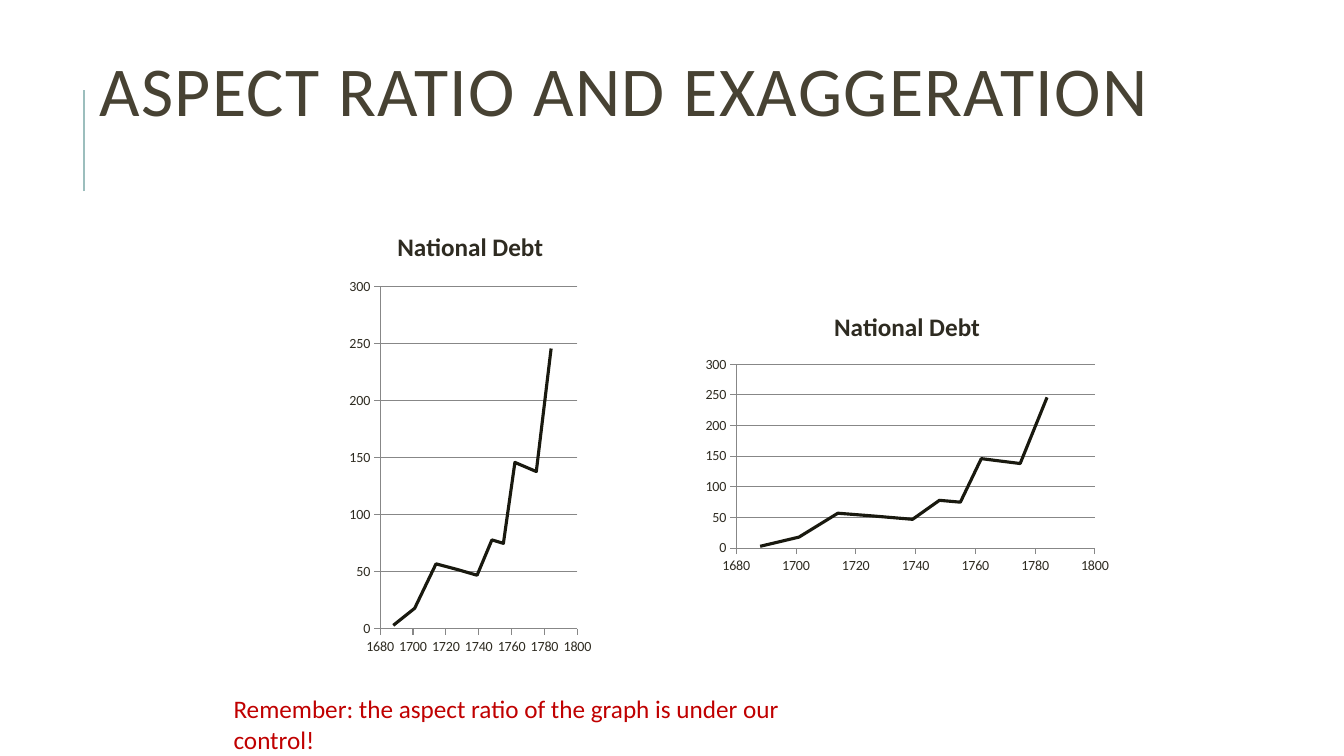
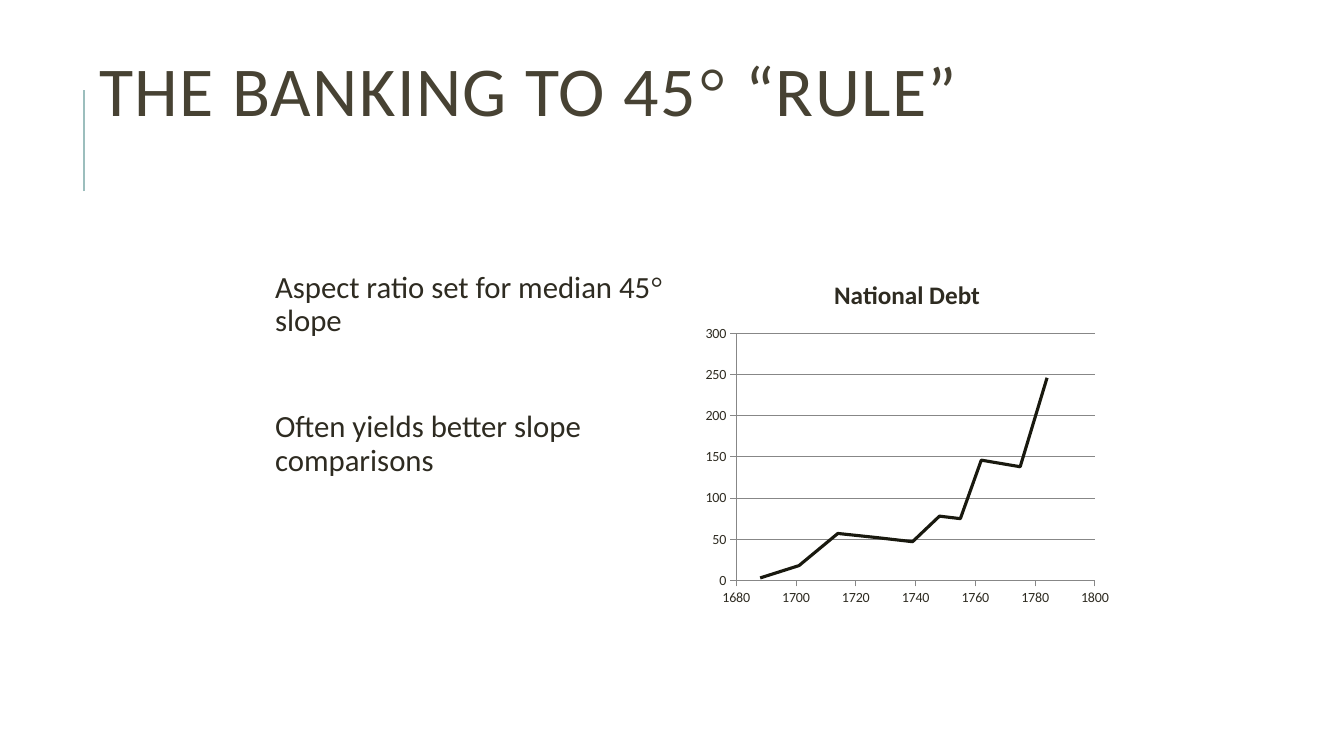
from lxml import etree
from pptx import Presentation
from pptx.chart.data import XyChartData
from pptx.dml.color import RGBColor
from pptx.enum.chart import XL_CHART_TYPE, XL_MARKER_STYLE, XL_TICK_MARK
from pptx.enum.shapes import MSO_CONNECTOR
from pptx.enum.text import MSO_ANCHOR
from pptx.oxml.ns import qn
from pptx.util import Emu, Pt

PX = 9525
FONT, SYMBOL_FONT = "Calibri", "Times New Roman"
INK, TITLE, ACCENT, ALERT = "2E2B21", "474233", "9CBEBD", "C00000"
SERIES, GRID = "19190F", "878787"
YEARS = (1688, 1701, 1714, 1727, 1739, 1748, 1755, 1762, 1775, 1784)
DEBT = (3, 18, 57, 52, 47, 78, 75, 146, 138, 246)


def px(n):
    """Turn px into EMU."""
    return Emu(n * PX)


def rgb(value):
    """Turn a hex string into a colour."""
    return RGBColor.from_string(value)


def set_attrs(obj, **values):
    """Set each given format value on an object."""
    for name, value in values.items():
        setattr(obj, name, value)


def style_line(line, color, width):
    """Give a line its colour and width."""
    line.color.rgb = rgb(color)
    line.width = Pt(width)


def add_text(slide, box, paragraphs, size, color, spc=0, frame=None, para=None):
    """Write paragraphs, each a list of (text, font) runs, into a box."""
    tf = slide.shapes.add_textbox(*map(px, box)).text_frame
    set_attrs(tf, word_wrap=True, **(frame or {}))
    for i, runs in enumerate(paragraphs):
        p = tf.add_paragraph() if i else tf.paragraphs[0]
        set_attrs(p, **(para or {}))
        if not i:
            p.space_before = Pt(0)
        for text, font in runs:
            r = p.add_run()
            r.text = text
            set_attrs(r.font, name=font, size=Pt(size))
            r.font.color.rgb = rgb(color)
            if spc:
                r.font._element.set("spc", str(spc))
    return tf


def add_debt_chart(slide, box):
    """Draw the national debt line chart in a box."""
    data = XyChartData(number_format="General")
    series = data.add_series("National Debt")
    for year, debt in zip(YEARS, DEBT):
        series.add_data_point(year, debt)
    chart = slide.shapes.add_chart(
        XL_CHART_TYPE.XY_SCATTER_LINES_NO_MARKERS, *map(px, box), data).chart
    set_attrs(chart, has_legend=False, has_title=True)
    set_attrs(chart.font, name=FONT, size=Pt(10))
    chart.font.color.rgb = rgb(INK)

    p = chart.chart_title.text_frame.paragraphs[0]
    r = p.add_run()
    r.text = "National Debt"
    set_attrs(r.font, name=FONT, size=Pt(18), bold=True)
    r.font.color.rgb = rgb(INK)

    axes = ((chart.category_axis, 1680, 1800, 20, False),
            (chart.value_axis, 0, 300, 50, True))
    for axis, low, high, step, grid in axes:
        set_attrs(axis, minimum_scale=low, maximum_scale=high, major_unit=step,
                  has_major_gridlines=grid, major_tick_mark=XL_TICK_MARK.OUTSIDE,
                  minor_tick_mark=XL_TICK_MARK.NONE)
        style_line(axis.format.line, GRID, 0.75)
    style_line(chart.value_axis.major_gridlines.format.line, GRID, 0.75)

    plot = chart.plots[0]
    plot.vary_by_categories = False
    line = plot.series[0]
    line.smooth = False
    line.marker.style = XL_MARKER_STYLE.NONE
    style_line(line.format.line, SERIES, 2.25)


def add_titled_slide(prs, runs):
    """Add a blank slide with the accent line and title."""
    slide = prs.slides.add_slide(prs.slide_layouts[6])
    rule = slide.shapes.add_connector(
        MSO_CONNECTOR.STRAIGHT, *map(px, (80, 182, 80, 86)))
    style_line(rule.line, ACCENT, 1.5)
    etree.SubElement(rule._element.spPr, qn("a:effectLst"))
    add_text(slide, (85, 32, 1088, 120), [runs], 50, TITLE, spc=100,
             frame={"vertical_anchor": MSO_ANCHOR.MIDDLE},
             para={"line_spacing": 0.8})
    return slide


def build_exaggeration(prs):
    """Build the slide that compares two aspect ratios."""
    slide = add_titled_slide(prs, [("ASPECT RATIO AND EXAGGERATION", FONT)])
    for box in ((664, 280, 400, 272), (328, 200, 240, 432)):
        add_debt_chart(slide, box)
    note = "Remember: the aspect ratio of the graph is under our control!"
    add_text(slide, (213, 656, 607, 38), [[(note, FONT)]], 18, ALERT)


def build_banking(prs):
    """Build the slide on banking to 45 degrees."""
    slide = add_titled_slide(prs, [
        ("THE BANKING TO 45", FONT), ("°", SYMBOL_FONT), (" “RULE”", FONT)])
    points = [
        [("Aspect ratio set for median 45", FONT), ("° ", SYMBOL_FONT),
         ("slope", FONT)],
        [("Often yields better slope comparisons", FONT)],
    ]
    sides = ("left", "top", "right", "bottom")
    insets = {f"margin_{side}": px(5) for side in sides}
    insets["margin_left"] = px(14)
    add_text(slide, (248, 254, 416, 378), points, 22, INK, frame=insets,
             para={"line_spacing": 0.9, "space_before": Pt(50),
                   "space_after": Pt(2)})
    add_debt_chart(slide, (664, 248, 400, 336))


def main():
    """Build and save the presentation."""
    prs = Presentation()
    set_attrs(prs, slide_width=px(1280), slide_height=px(720))
    build_exaggeration(prs)
    build_banking(prs)
    prs.save("out.pptx")


if __name__ == "__main__":
    main()
